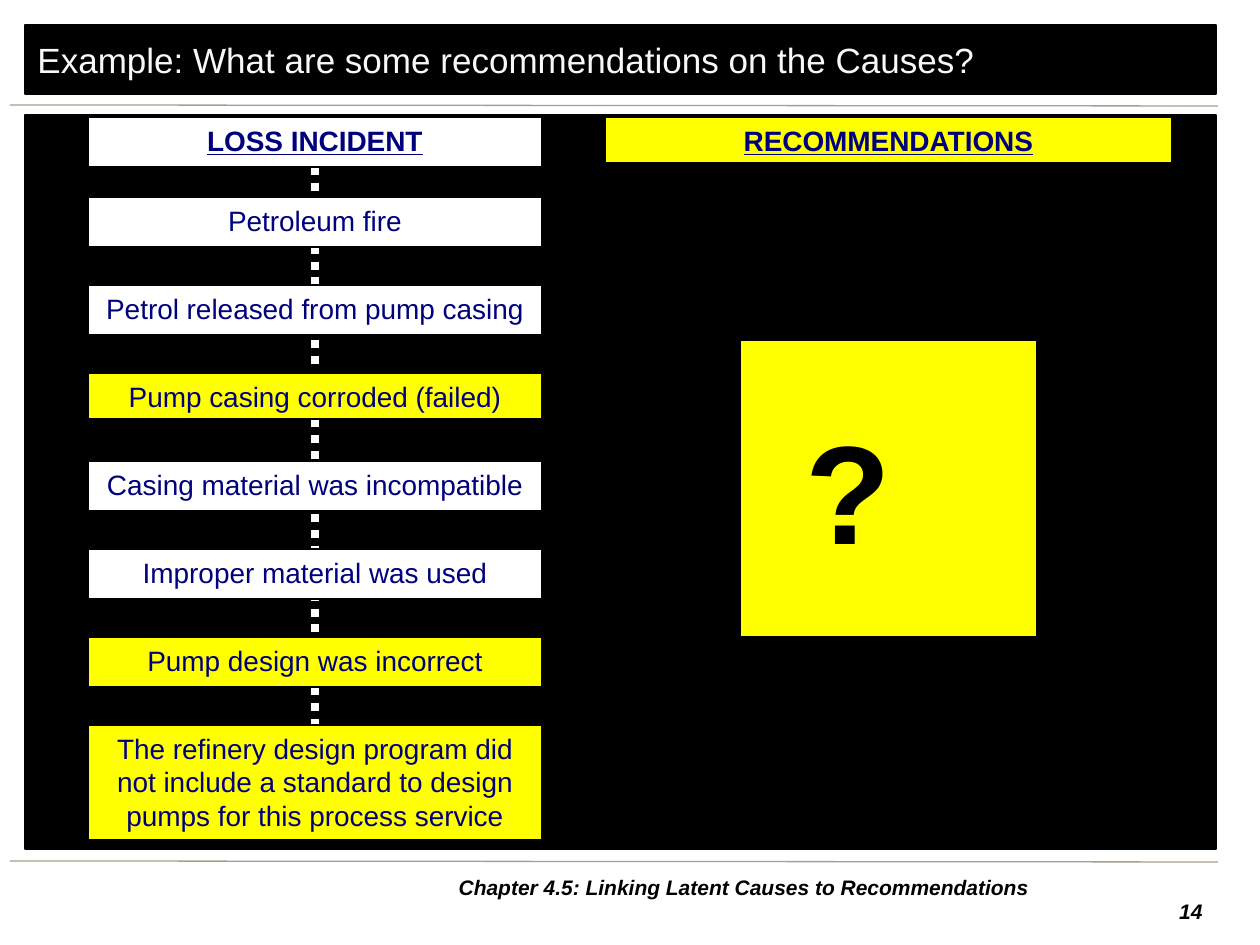
from lxml.etree import SubElement
from pptx import Presentation
from pptx.dml.color import RGBColor
from pptx.enum.dml import MSO_LINE
from pptx.enum.shapes import MSO_CONNECTOR, MSO_SHAPE
from pptx.enum.text import MSO_ANCHOR as Anchor, MSO_AUTO_SIZE as AutoSize, PP_ALIGN as Align
from pptx.oxml.ns import qn
from pptx.util import Emu, Pt

EMU_PER_PX = 914400 / 126
COLORS = {
    "black": "000000", "white": "FFFFFF", "title": "F8F8F8",
    "yellow": "FFFF00", "navy": "00007D", "rule": "AA9C8F",
}
CAUSE = {"size": Pt(16)}
HEADING = {"size": Pt(16), "bold": True, "underline": True}
FOOTER = {"size": Pt(12), "bold": True, "italic": True}
BOX_LEFT, BOX_WIDTH, BOX_HEIGHT = 88, 454, 50
FIRST_CAUSE_TOP, CAUSE_STEP = 197, 88
CAUSES = [
    ("Petroleum fire", "white", BOX_HEIGHT),
    ("Petrol released from pump casing", "white", BOX_HEIGHT),
    ("Pump casing corroded (failed)", "yellow", 46),
    ("Casing material was incompatible", "white", BOX_HEIGHT),
    ("Improper material was used", "white", BOX_HEIGHT),
    ("Pump design was incorrect", "yellow", BOX_HEIGHT),
    ("The refinery design program did not include a standard to design "
     "pumps for this process service", "yellow", 115),
]


def px(value):
    return Emu(round(value * EMU_PER_PX))


def rgb(name):
    return RGBColor.from_string(COLORS[name])


def write(shape, text, font, color, align=Align.CENTER, anchor=Anchor.TOP):
    frame = shape.text_frame
    frame.word_wrap = True
    frame.vertical_anchor = anchor
    para = frame.paragraphs[0]
    para.alignment = align
    span = para.add_run()
    span.text = text
    span.font.name = "Arial"
    span.font.color.rgb = rgb(color)
    for name, value in font.items():
        setattr(span.font, name, value)


def add_box(page, place, fill):
    box = page.shapes.add_shape(MSO_SHAPE.RECTANGLE, *map(px, place))
    box.shadow.inherit = False
    box.fill.solid()
    box.fill.fore_color.rgb = rgb(fill)
    box.line.color.rgb = rgb("black")
    box.line.width = Pt(0.75)
    return box


def add_label(page, place, fill, text, font):
    """Add a box with navy text that grows with its wording."""
    box = add_box(page, place, fill)
    write(box, text, font, "navy")
    box.text_frame.auto_size = AutoSize.SHAPE_TO_FIT_TEXT
    return box


def add_note(page, place, text, **layout):
    note = page.shapes.add_textbox(*map(px, place))
    write(note, text, FOOTER, "black", **layout)


def add_line(page, ends, color, width):
    line = page.shapes.add_connector(MSO_CONNECTOR.STRAIGHT, *map(px, ends))
    line.line.color.rgb = rgb(color)
    line.line.width = Pt(width)
    SubElement(line._element.spPr, qn("a:effectLst"))
    return line


def add_cause_chain(page):
    """Stack the cause boxes over the dotted line that links them."""
    middle = BOX_LEFT + BOX_WIDTH // 2
    chain = add_line(page, (middle, 168, middle, 725), "white", 4.5)
    chain.line.dash_style = MSO_LINE.ROUND_DOT
    for row, (text, fill, height) in enumerate(CAUSES):
        top = FIRST_CAUSE_TOP + row * CAUSE_STEP
        last = add_label(page, (BOX_LEFT, top, BOX_WIDTH, height), fill, text, CAUSE)
    incident = add_label(page, (BOX_LEFT, 117, BOX_WIDTH, BOX_HEIGHT), "white",
                         "LOSS INCIDENT", HEADING)
    chain.begin_connect(incident, 2)
    chain.end_connect(last, 0)


def add_question(page):
    question = add_box(page, (740, 340, 297, 297), "yellow")
    write(question, "?", {"size": Pt(80), "bold": True}, "black", anchor=Anchor.MIDDLE)
    question.text_frame.margin_right = px(92)


def main():
    deck = Presentation()
    deck.slide_width, deck.slide_height = px(1260), px(945)
    page = deck.slides.add_slide(deck.slide_layouts[6])

    for top in (105, 861):
        add_line(page, (10, top, 1218, top + 1), "rule", 0.75)
    title = add_box(page, (25, 25, 1191, 69), "black")
    write(title, "Example: What are some recommendations on the Causes?",
          {"size": Pt(20)}, "title", Align.LEFT, Anchor.MIDDLE)
    add_note(page, (1142, 892, 73, 39), "14", align=Align.RIGHT)

    add_box(page, (25, 115, 1191, 734), "black")
    add_cause_chain(page)
    add_label(page, (605, 117, 567, 46), "yellow", "RECOMMENDATIONS", HEADING)
    add_note(page, (372, 868, 744, 39),
             "Chapter 4.5: Linking Latent Causes to Recommendations",
             anchor=Anchor.MIDDLE)
    add_question(page)
    deck.save("out.pptx")


if __name__ == "__main__":
    main()
